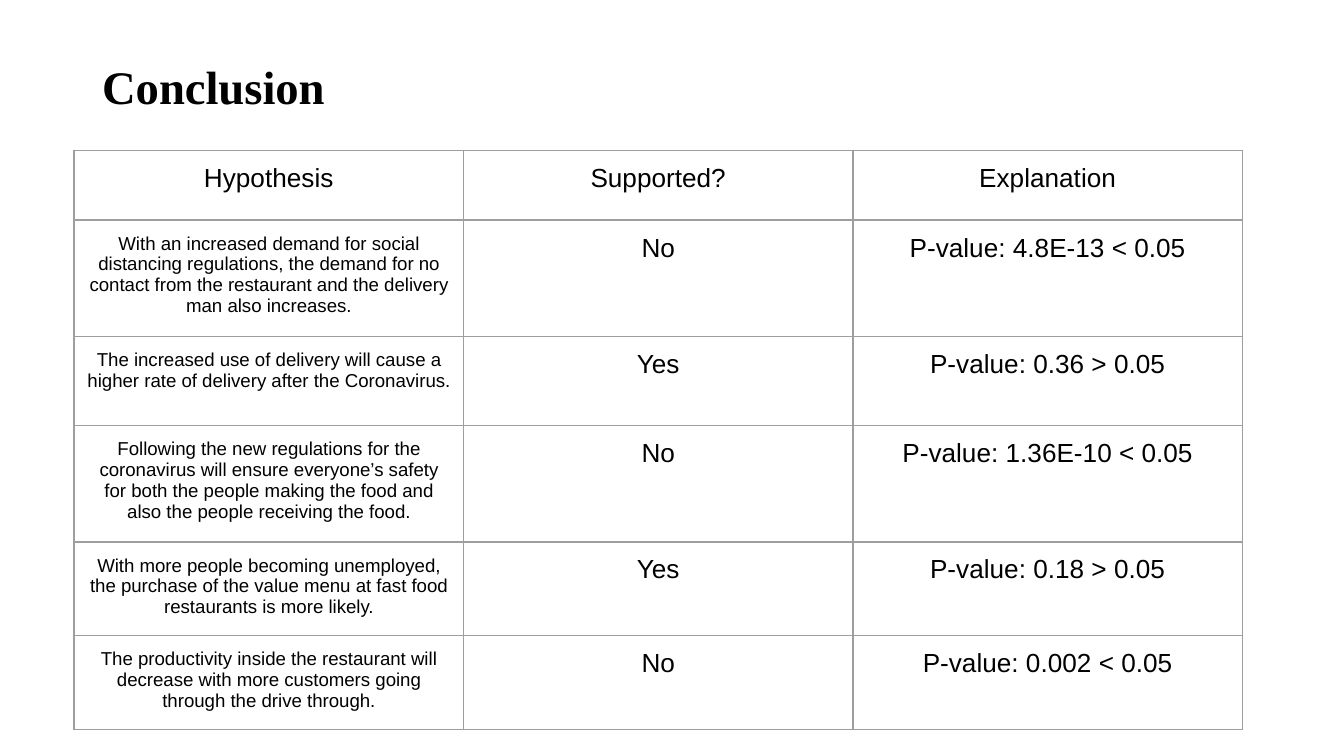
import pptx
import pptx.util
import pptx.dml.color
import pptx.enum.text
import pptx.oxml
import pptx.oxml.ns

Cm, Pt = pptx.util.Cm, pptx.util.Pt

# Content
TITLE = "Conclusion"
HEAD = ("Hypothesis", "Supported?", "Explanation")
ROWS = [
    ("With an increased demand for social distancing regulations, the demand "
     "for no contact from the restaurant and the delivery man also increases.",
     "No", "P-value: 4.8E-13 < 0.05"),
    ("The increased use of delivery will cause a higher rate of delivery "
     "after the Coronavirus.",
     "Yes", "P-value: 0.36 > 0.05"),
    ("Following the new regulations for the coronavirus will ensure "
     "everyone’s safety for both the people making the food and also the "
     "people receiving the food.",
     "No", "P-value: 1.36E-10 < 0.05"),
    ("With more people becoming unemployed, the purchase of the value menu "
     "at fast food restaurants is more likely.",
     "Yes", "P-value: 0.18 > 0.05"),
    ("The productivity inside the restaurant will decrease with more "
     "customers going through the drive through.",
     "No", "P-value: 0.002 < 0.05"),
]
COLORS = {"text": "000000", "rule": "9E9E9E"}

# Layout, in centimetres
WIDTH = 7.36
HEIGHTS = (1.32, 2.1, 1.69, 2.1, 1.69, 1.69)
PAD = 0.25


def style(para, face, size, bold=False):
    font = para.font
    font.name, font.size, font.bold = face, Pt(size), bold
    font.color.rgb = pptx.dml.color.RGBColor.from_string(COLORS["text"])


def inset(part, side, top):
    part.margin_left = part.margin_right = Cm(side)
    part.margin_top = part.margin_bottom = Cm(top)


def border(cell):
    props = cell._tc.get_or_add_tcPr()
    for side in "LRTB":
        props.append(pptx.oxml.parse_xml(
            f'<a:ln{side} {pptx.oxml.ns.nsdecls("a")} w="{Pt(0.75)}">'
            f'<a:solidFill><a:srgbClr val="{COLORS["rule"]}"/></a:solidFill>'
            f'</a:ln{side}>'))


def add_title(slide):
    box = slide.shapes.add_textbox(Cm(1.75), Cm(0.3), Cm(21.9), Cm(2.77))
    frame = box.text_frame
    frame.word_wrap = True
    frame.vertical_anchor = pptx.enum.text.MSO_ANCHOR.MIDDLE
    inset(frame, 0.18, 0.1)
    para = frame.paragraphs[0]
    para.text, para.line_spacing = TITLE, 0.9
    style(para, "Times New Roman", 25, True)


def add_grid(slide):
    data = [HEAD] + ROWS
    table = slide.shapes.add_table(
        len(data), len(HEAD), Cm(1.4), Cm(2.84),
        Cm(WIDTH * len(HEAD)), Cm(sum(HEIGHTS))).table
    table.first_row = table.horz_banding = False
    for col in table.columns:
        col.width = Cm(WIDTH)
    for r, (row, high) in enumerate(zip(data, HEIGHTS)):
        table.rows[r].height = Cm(high)
        for c, text in enumerate(row):
            cell = table.cell(r, c)
            inset(cell, PAD, PAD)
            border(cell)
            cell.fill.background()
            para = cell.text_frame.paragraphs[0]
            para.text = text
            para.alignment = pptx.enum.text.PP_ALIGN.CENTER
            style(para, "Arial", 10 if r and not c else 14)


def main():
    deck = pptx.Presentation()
    deck.slide_width, deck.slide_height = Cm(25.4), Cm(14.29)
    slide = deck.slides.add_slide(deck.slide_layouts[6])
    add_title(slide)
    add_grid(slide)
    deck.save("out.pptx")


if __name__ == "__main__":
    main()
